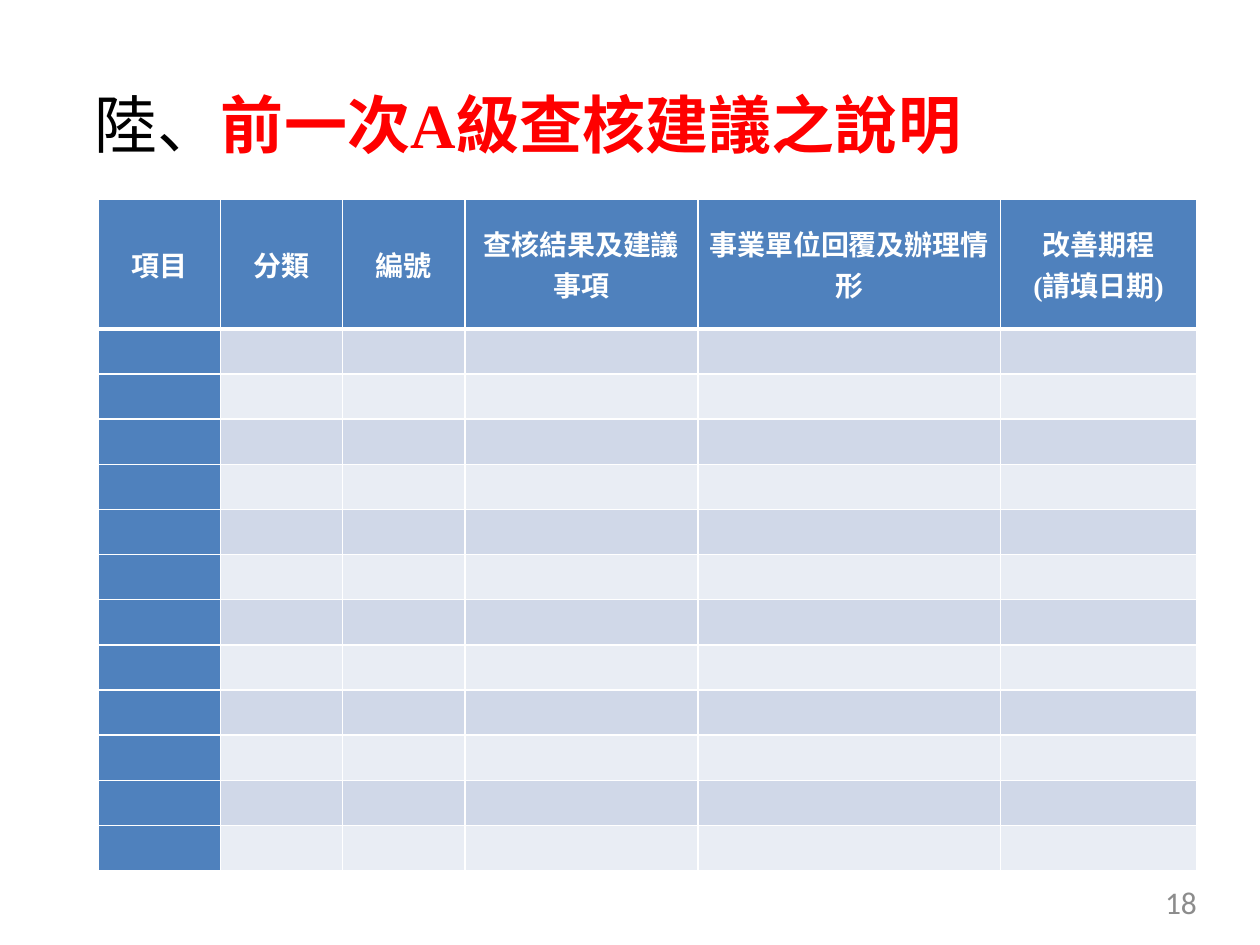
from lxml.etree import SubElement
from pptx import Presentation
from pptx.dml.color import RGBColor
from pptx.enum.text import MSO_ANCHOR as Anchor, PP_ALIGN as Align
from pptx.oxml.ns import qn
from pptx.util import Inches, Pt

CJK, SERIF = "Noto Sans CJK SC", "Times New Roman"
BLUE, WHITE, RED = "4F81BD", "FFFFFF", "FF0000"
BANDS = ("D0D8E8", "E9EDF4")
TITLE_PARTS = [("陸、", CJK, "000000", False), ("前一次", CJK, RED, True),
               ("A", SERIF, RED, True), ("級查核建議之說明", CJK, RED, True)]
HEADERS = ["項目", "分類", "編號", "查核結果及建議事項",
           "事業單位回覆及辦理情形", "改善期程\n(請填日期)"]
COLUMN_WIDTHS = [0.97, 0.97, 0.97, 1.85, 2.4, 1.56]
TABLE_HEIGHT, HEADER_HEIGHT, BLANK_ROWS = 5.33, 1.03, 12


def rgb(color):
    return RGBColor.from_string(color)


def style_font(font, name, size, color, bold=False):
    font.name, font.size, font.bold = name, Pt(size), bold
    font.color.rgb = rgb(color)


def set_margins(frame):
    frame.margin_left = frame.margin_right = 0
    frame.margin_top = frame.margin_bottom = 0


def add_title(slide):
    title = slide.shapes.title
    title.left, title.top = Inches(0.75), Inches(0.67)
    title.width, title.height = Inches(8.75), Inches(0.61)
    frame = title.text_frame
    set_margins(frame)
    frame.vertical_anchor = Anchor.MIDDLE
    heading = frame.paragraphs[0]
    heading.alignment = Align.LEFT
    for text, name, color, bold in TITLE_PARTS:
        part = heading.add_run()
        part.text = text
        style_font(part.font, name, 36, color, bold)
        properties = part.font._element
        properties.set("spc", "10")
        SubElement(properties, qn("a:ea"), typeface=CJK)


def set_borders(cell, bottom):
    """Draw white cell edges; widths are in points."""
    properties = cell._tc.get_or_add_tcPr()
    for edge, width in (("L", 1), ("R", 1), ("T", 1), ("B", bottom)):
        line = SubElement(properties, qn(f"a:ln{edge}"), w=str(Pt(width)))
        solid = SubElement(line, qn("a:solidFill"))
        SubElement(solid, qn("a:srgbClr"), val=WHITE)


def fill_cell(cell, color, bottom=1):
    set_borders(cell, bottom)
    cell.fill.solid()
    cell.fill.fore_color.rgb = rgb(color)
    cell.margin_left = cell.margin_right = Inches(0.07)
    cell.margin_top = cell.margin_bottom = 0
    cell.vertical_anchor = Anchor.MIDDLE


def add_review_table(slide):
    table = slide.shapes.add_table(
        BLANK_ROWS + 1, len(HEADERS), Inches(0.78), Inches(1.58),
        Inches(sum(COLUMN_WIDTHS)), Inches(TABLE_HEIGHT)).table
    for column, width in zip(table.columns, COLUMN_WIDTHS):
        column.width = Inches(width)
    for index, row in enumerate(table.rows):
        row.height = Inches((TABLE_HEIGHT - HEADER_HEIGHT) / BLANK_ROWS)
        if index:
            for position, cell in enumerate(row.cells):
                fill_cell(cell, BANDS[(index - 1) % 2] if position else BLUE)
    table.rows[0].height = Inches(HEADER_HEIGHT)
    for cell, text in zip(table.rows[0].cells, HEADERS):
        fill_cell(cell, BLUE, bottom=3)
        cell.text = text
        for paragraph in cell.text_frame.paragraphs:
            paragraph.alignment = Align.CENTER
            style_font(paragraph.font, SERIF, 16, WHITE, True)


def add_page_number(slide, number):
    frame = slide.shapes.add_textbox(
        Inches(7.2), Inches(6.97), Inches(2.3), Inches(0.38)).text_frame
    set_margins(frame)
    frame.word_wrap = True
    frame.vertical_anchor = Anchor.MIDDLE
    paragraph = frame.paragraphs[0]
    paragraph.text = number
    paragraph.alignment = Align.RIGHT
    style_font(paragraph.font, "Calibri", 18, "8C8C8C")


def main():
    deck = Presentation()
    deck.slide_width, deck.slide_height = Inches(10), Inches(7.5)
    slide = deck.slides.add_slide(deck.slide_layouts[5])
    add_title(slide)
    add_review_table(slide)
    add_page_number(slide, "18")
    deck.save("out.pptx")


if __name__ == "__main__":
    main()
